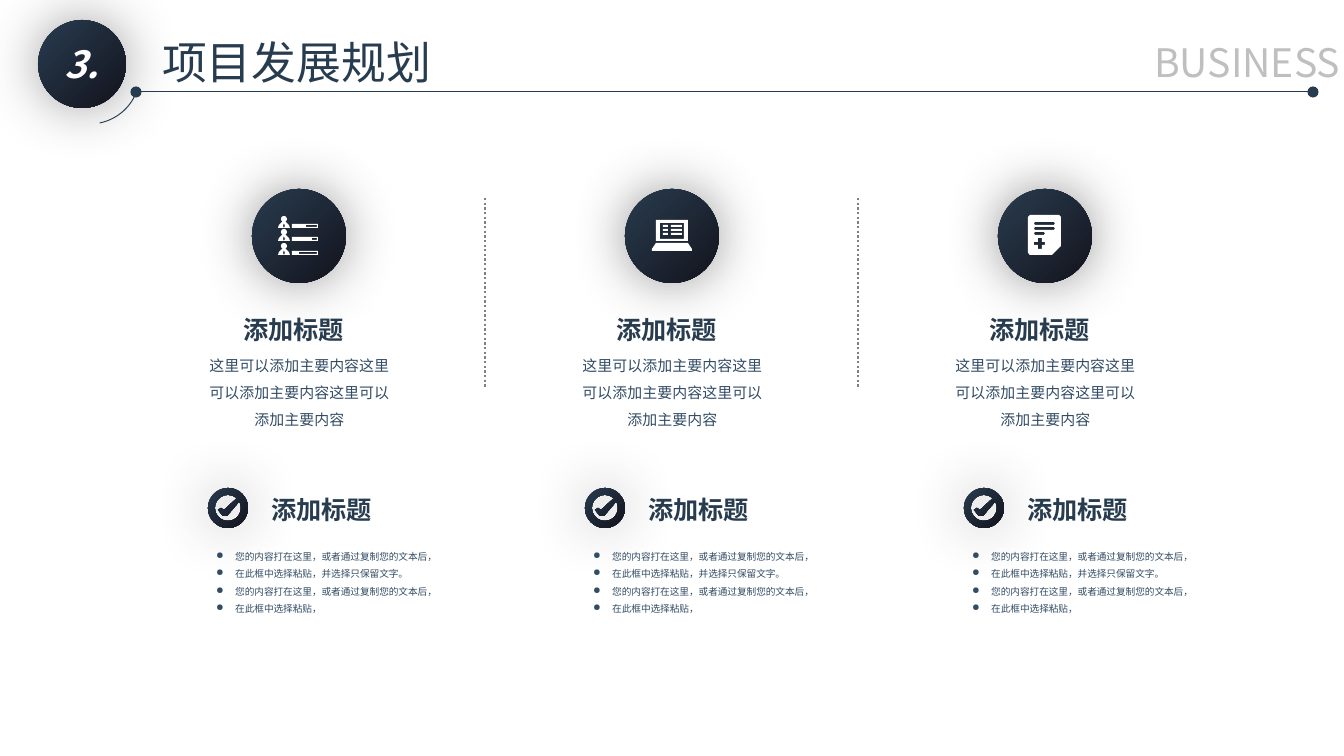
"""Build the project development planning slide with three icon columns and three checklists."""
import math

import pptx
import pptx.dml.color
import pptx.enum.dml
import pptx.enum.shapes
import pptx.enum.text
import pptx.oxml
import pptx.oxml.ns
import pptx.util

EMU_PER_PX = 914400 / 134.4
FONT = "Noto Sans CJK SC"
COLORS = {
    "navy": "283C4F", "night": "13131D", "slate": "324C64", "white": "FFFFFF",
    "silver": "BFBFBF", "gray": "808080", "shadow": "404040",
}
SHAPE = pptx.enum.shapes.MSO_SHAPE
ALIGN = pptx.enum.text.PP_ALIGN
COLUMN_LEFTS = [252 + 373 * i for i in range(3)]
CHECK_LEFTS = [208, 585, 964]
HEADING = "添加标题"
BODY = "这里可以添加主要内容" * 3
PASTE_HERE = "您的内容打在这里，或者通过复制您的文本后，"
BULLETS = [PASTE_HERE, "在此框中选择粘贴，并选择只保留文字。", PASTE_HERE, "在此框中选择粘贴，"]


def px(value):
    return pptx.util.Emu(round(value * EMU_PER_PX))


def rgb(name):
    return pptx.dml.color.RGBColor.from_string(COLORS[name])


def add_xml(parent, tag, **attrs):
    child = pptx.oxml.parse_xml(f'<a:{tag} {pptx.oxml.ns.nsdecls("a")}/>')
    for key, value in attrs.items():
        child.set(key, str(value))
    parent.append(child)
    return child


def add_run(p, text, size, color, bold=False, italic=False):
    r = p.add_run()
    r.text = text
    r.font.size = pptx.util.Pt(size)
    r.font.bold = bold
    r.font.italic = italic
    r.font.color.rgb = rgb(color)
    r.font.name = FONT
    add_xml(r.font._element, "ea", typeface=FONT)


def add_text(s, box, lines, size, color, align=ALIGN.LEFT, bold=False,
             spacing=None, bullet=False, wrap=True):
    tf = s.shapes.add_textbox(*map(px, box)).text_frame
    tf.word_wrap = wrap
    tf.auto_size = pptx.enum.text.MSO_AUTO_SIZE.SHAPE_TO_FIT_TEXT
    for i, line in enumerate(lines):
        p = tf.add_paragraph() if i else tf.paragraphs[0]
        p.alignment = align
        if spacing:
            p.line_spacing = spacing
        if bullet:
            pPr = p._p.get_or_add_pPr()
            pPr.set("marL", str(px(19)))
            pPr.set("indent", str(px(-19)))
            add_xml(pPr, "buChar", char="●")
        add_run(p, line, size, color, bold)


def style_glow(sp, gradient=True):
    if gradient:
        sp.fill.gradient()
        sp.fill.gradient_angle = 315
        for stop, color in zip(sp.fill.gradient_stops, ("navy", "night")):
            stop.color.rgb = rgb(color)
    else:
        sp.fill.solid()
        sp.fill.fore_color.rgb = rgb("white")
    sp.line.fill.background()
    sp.shadow.inherit = False
    effects = sp._element.spPr.find(pptx.oxml.ns.qn("a:effectLst"))
    shadow = add_xml(effects, "outerShdw", blurRad=pptx.util.Pt(30), dist=0, dir=0,
                     algn="ctr", rotWithShape=0)
    add_xml(add_xml(shadow, "srgbClr", val=COLORS["shadow"]), "alpha", val=50000)


def add_disc(s, x, y, size):
    sp = s.shapes.add_shape(SHAPE.OVAL, px(x), px(y), px(size), px(size))
    style_glow(sp)
    return sp


def add_line(s, start, end, color, width, dash=None, dots=False):
    cx = s.shapes.add_connector(pptx.enum.shapes.MSO_CONNECTOR.STRAIGHT,
                                *map(px, start + end))
    cx.line.color.rgb = rgb(color)
    cx.line.width = pptx.util.Pt(width)
    if dash:
        cx.line.dash_style = dash
    if dots:
        ln = cx.line._get_or_add_ln()
        add_xml(ln, "headEnd", type="oval")
        add_xml(ln, "tailEnd", type="oval")
    add_xml(cx._element.spPr, "effectLst")


def add_icon(s, x, y, contours, gradient=False):
    points = [[(px(x + dx), px(y + dy)) for dx, dy in c] for c in contours]
    builder = s.shapes.build_freeform(*points[0][0], scale=1.0)
    for i, contour in enumerate(points):
        if i:
            builder.move_to(*contour[0])
        builder.add_line_segments(contour[1:], close=True)
    style_glow(builder.convert_to_shape(), gradient)


def rect(x, y, w, h):
    return [(x, y), (x + w, y), (x + w, y + h), (x, y + h)]


def pill(x, y, w, h):
    return [(x + 1, y), (x + w - 1, y), (x + w, y + h / 2),
            (x + w - 1, y + h), (x + 1, y + h), (x, y + h / 2)]


def circle(cx, cy, radius, steps=48):
    angles = [2 * math.pi * i / steps for i in range(steps)]
    return [(cx + radius * math.cos(a), cy + radius * math.sin(a)) for a in angles]


def people_icon():
    contours = []
    for y, bar_start in ((27, 54), (40, 60), (54, 47)):
        contours += [
            circle(32, y + 3, 3, 16),
            [(30, y + 6), (34, y + 6), (37, y + 9), (38, y + 12), (26, y + 12), (27, y + 9)],
            [(32, y + 7), (33, y + 10), (32, y + 12), (31, y + 10)],
            rect(40, y + 8, 26, 4),
            rect(bar_start, y + 9, 65 - bar_start, 2),
        ]
    return contours


def laptop_icon():
    contours = [[(31, 54), (63, 54), (67, 60), (67, 62), (27, 62), (27, 60)],
                rect(31, 31, 32, 21), rect(35, 34, 24, 16)]
    for y in (36, 40, 44):
        contours += [rect(38, y, 5, 2), rect(46, y, 11, 2)]
    return contours


def document_icon():
    return [
        [(30, 28), (32, 26), (61, 26), (63, 28), (63, 57), (54, 66), (32, 66), (30, 64)],
        pill(36, 33, 21, 3), pill(36, 38, 21, 3), pill(36, 43, 11, 3),
        [(40, 49), (44, 49), (44, 53), (47, 53), (47, 56), (44, 56),
         (44, 60), (40, 60), (40, 56), (36, 56), (36, 53), (40, 53)],
    ]


def check_icon():
    return [circle(20, 20, 20), circle(20, 20, 13),
            [(28, 11), (31, 14), (19, 28), (15, 28), (10, 22), (13, 20), (16, 22), (27, 12)]]


def add_header(s):
    tf = add_disc(s, 38, 20, 88).text_frame
    tf.vertical_anchor = pptx.enum.text.MSO_ANCHOR.MIDDLE
    tf.paragraphs[0].alignment = ALIGN.CENTER
    add_run(tf.paragraphs[0], "3.", 20, "white", bold=True, italic=True)
    add_text(s, (149, 28, 298, 67), ["项目发展规划"], 24, "navy", wrap=False)
    add_line(s, (136, 92), (1313, 92), "navy", 0.5, dots=True)
    arc = s.shapes.add_shape(SHAPE.ARC, px(39), px(23), px(101), px(101))
    arc.adjustments[0], arc.adjustments[1] = 13.98, 47.04
    arc.fill.background()
    arc.line.color.rgb = rgb("navy")
    arc.line.width = pptx.util.Pt(0.5)
    arc.shadow.inherit = False
    add_text(s, (1141, 32, 215, 60), ["BUSINESS"], 21, "silver")


def add_column(s, x, icon):
    add_disc(s, x, 189, 94)
    add_icon(s, x, 189, icon)
    add_text(s, (x - 22, 308, 137, 44), [HEADING], 13.5, "navy", ALIGN.JUSTIFY, bold=True)
    add_text(s, (x - 58, 341, 211, 95), [BODY], 8, "slate", ALIGN.CENTER, spacing=1.5)


def add_checklist(s, x):
    add_icon(s, x, 488, check_icon(), gradient=True)
    add_text(s, (x + 50, 488, 137, 44), [HEADING], 13.5, "navy", ALIGN.JUSTIFY, bold=True)
    add_text(s, (x - 5, 538, 241, 121), BULLETS, 5.2, "slate", spacing=1.5, bullet=True)


def main():
    prs = pptx.Presentation()
    prs.slide_width, prs.slide_height = px(1344), px(756)
    s = prs.slides.add_slide(prs.slide_layouts[6])
    add_header(s)
    for x, icon in zip(COLUMN_LEFTS, (people_icon(), laptop_icon(), document_icon())):
        add_column(s, x, icon)
    for x in CHECK_LEFTS:
        add_checklist(s, x)
    for x in COLUMN_LEFTS[:2]:
        add_line(s, (x + 233, 198), (x + 233, 388), "gray", 1.25,
                 dash=pptx.enum.dml.MSO_LINE.ROUND_DOT)
    prs.save("out.pptx")


if __name__ == "__main__":
    main()
